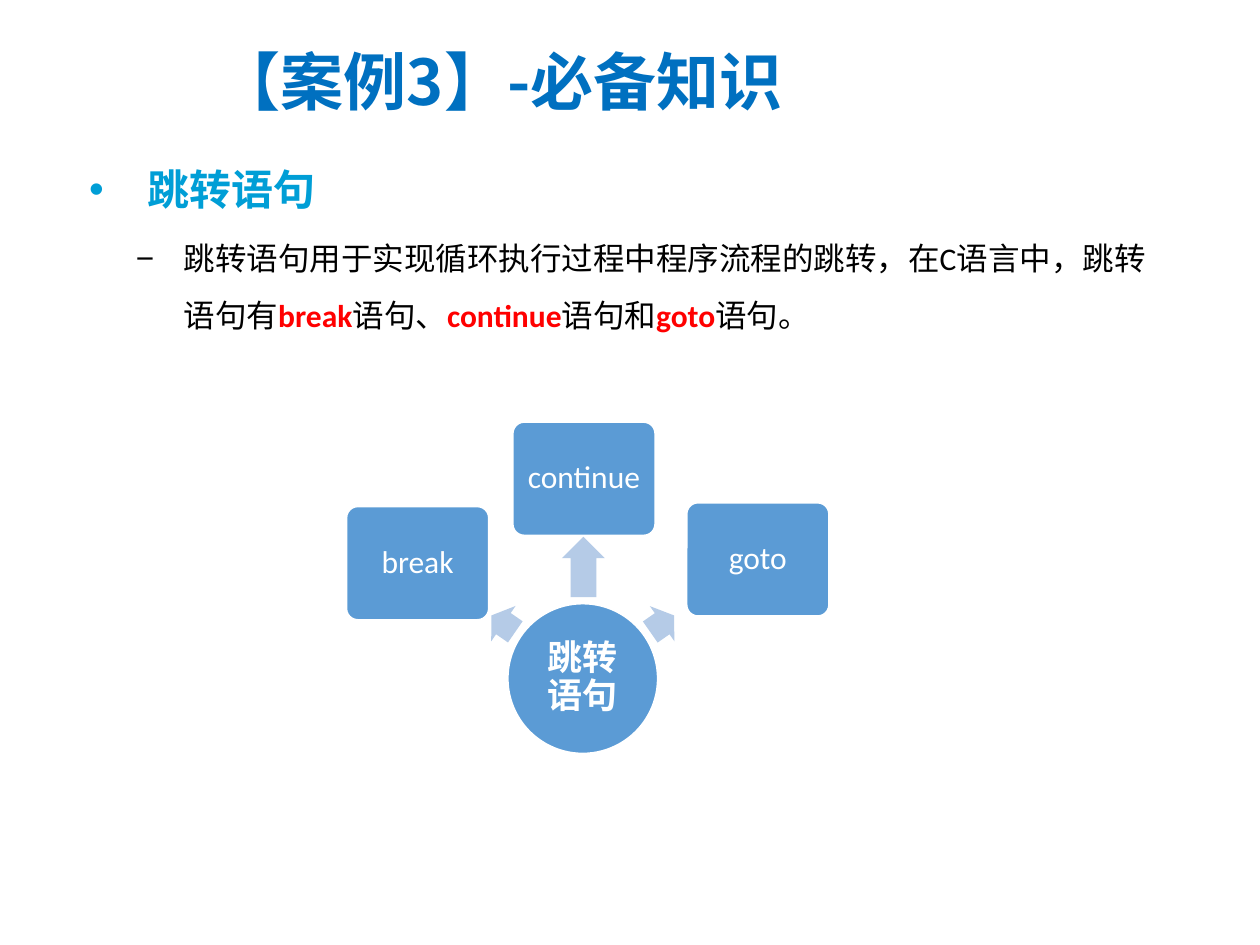
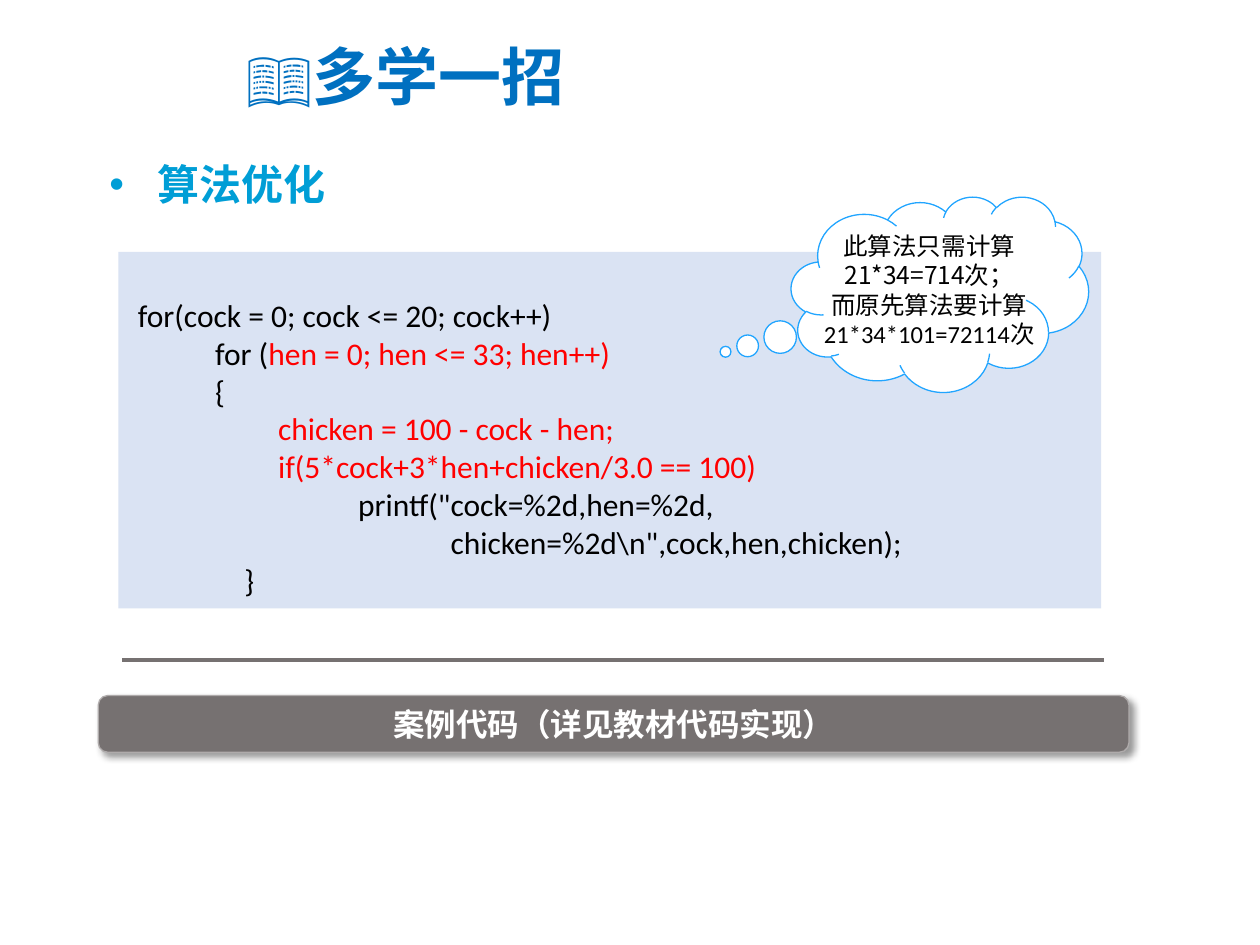
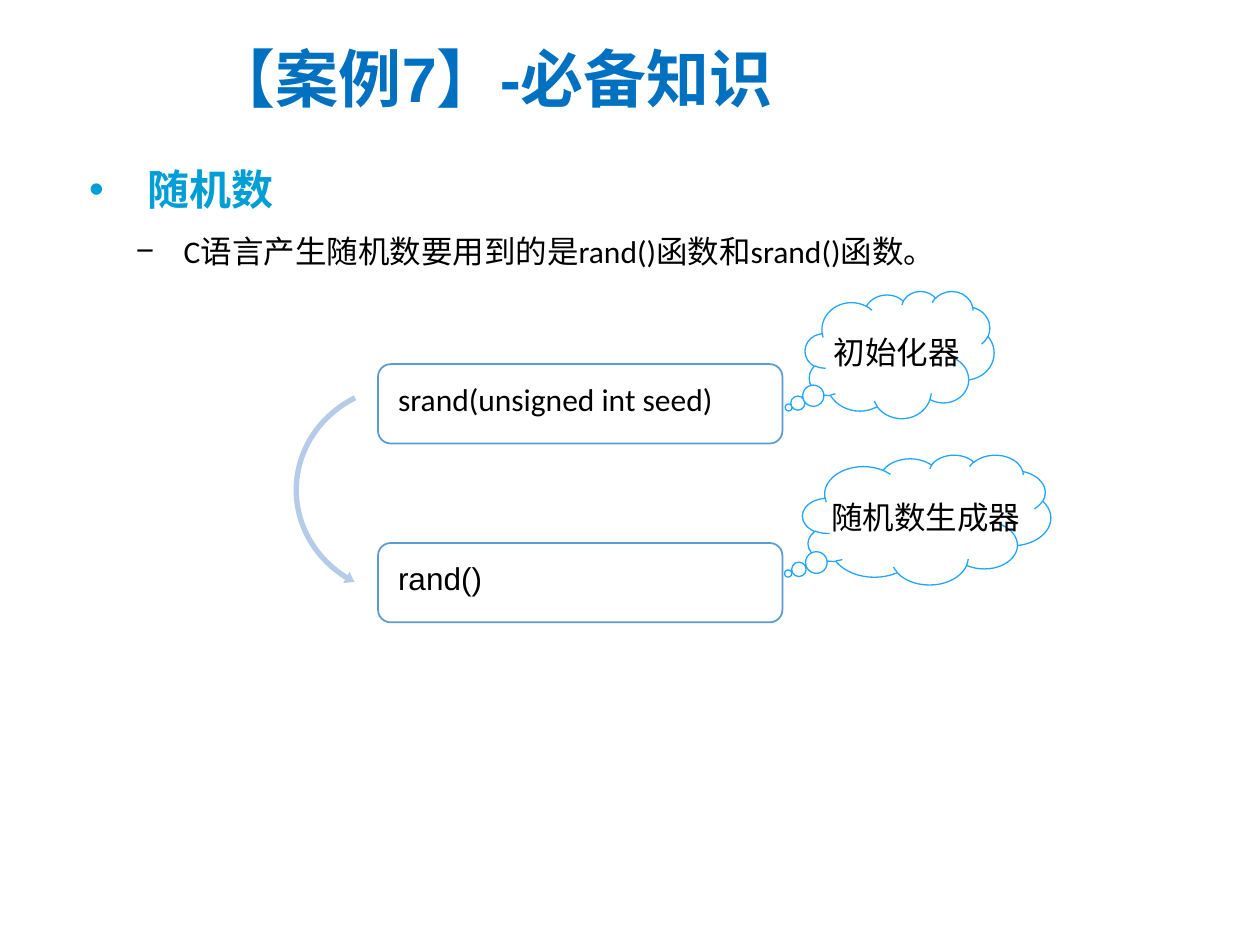
"""Build three lesson slides on jump statements, loop tuning and random numbers."""
import pptx
import pptx.util
import pptx.dml.color
import pptx.enum.shapes
import pptx.enum.text
import pptx.oxml
import pptx.oxml.ns

RGB = pptx.dml.color.RGBColor
SHAPE = pptx.enum.shapes.MSO_SHAPE
ALIGN = pptx.enum.text.PP_ALIGN
ANCHOR = pptx.enum.text.MSO_ANCHOR
Pt = pptx.util.Pt

WHITE = RGB(0xFF, 0xFF, 0xFF)
BLACK = RGB(0x00, 0x00, 0x00)
RED = RGB(0xFF, 0x00, 0x00)
TITLE_BLUE = RGB(0x00, 0x70, 0xC0)
HEADING_BLUE = RGB(0x00, 0x9E, 0xD6)
NODE_BLUE = RGB(0x5B, 0x9B, 0xD5)
ARROW_BLUE = RGB(0xB5, 0xCB, 0xE7)
CLOUD_BLUE = RGB(0x21, 0xA5, 0xFF)
CODE_FILL = RGB(0xDA, 0xE3, 0xF3)
GREY = RGB(0x76, 0x71, 0x71)
LIGHT_GREY = RGB(0xAF, 0xAB, 0xAB)

LATIN = "Calibri"
CJK = "Noto Sans CJK SC"
CJK_KR = "Noto Sans CJK KR"
COLUMNS, ROWS = 100, 75
KEYWORD = {"color": RED, "bold": True}
CHANGED = {"color": RED}


class Deck:
    """Hold the shared style and the current slide on a grid of 100 by 75 cells."""

    def __init__(self):
        """Open an empty deck and size it."""
        self.prs = pptx.Presentation()
        self.prs.slide_width = pptx.util.Inches(10)
        self.prs.slide_height = pptx.util.Inches(7.5)
        self.slide = None

    def x(self, columns):
        """Convert columns to a length."""
        return round(self.prs.slide_width * columns / COLUMNS)

    def y(self, rows):
        """Convert rows to a length."""
        return round(self.prs.slide_height * rows / ROWS)

    def place(self, box):
        """Convert a grid box to left, top, width and height."""
        left, top, width, height = box
        return self.x(left), self.y(top), self.x(width), self.y(height)

    def style(self, r, size, font=LATIN, color=BLACK, bold=False):
        """Format a run, with a matching East Asian font."""
        r.font.size = Pt(size)
        r.font.bold = bold
        r.font.color.rgb = color
        r.font.name = font
        ea = pptx.oxml.parse_xml(f'<a:ea {pptx.oxml.ns.nsdecls("a")}/>')
        ea.set("typeface", font if font.startswith("Noto") else CJK)
        r._r.get_or_add_rPr().find(pptx.oxml.ns.qn("a:latin")).addnext(ea)

    def fill_text(self, sp, lines, size, align=ALIGN.LEFT, anchor=ANCHOR.MIDDLE, wrap=True,
                  insets=(1, 0.5, 1, 0.5), spacing=None, bullet=None, hang=3.8, **look):
        """Fill a shape with lines, each a list of strings or (string, look) pairs."""
        tf = sp.text_frame
        tf.auto_size = pptx.enum.text.MSO_AUTO_SIZE.NONE
        tf.word_wrap = wrap
        tf.vertical_anchor = anchor
        tf.margin_left, tf.margin_top = self.x(insets[0]), self.y(insets[1])
        tf.margin_right, tf.margin_bottom = self.x(insets[2]), self.y(insets[3])
        for i, line in enumerate(lines):
            p = tf.add_paragraph() if i else tf.paragraphs[0]
            if bullet:
                self.bullet(p, bullet, hang)
            p.alignment = align
            if spacing:
                p.line_spacing = spacing
            for part in line:
                text, own = (part, {}) if isinstance(part, str) else part
                r = p.add_run()
                r.text = text
                self.style(r, size, **{**look, **own})

    def bullet(self, p, char, hang):
        """Give a paragraph a bullet and a hanging indent."""
        pPr = p._p.get_or_add_pPr()
        pPr.set("marL", str(self.x(hang)))
        pPr.set("indent", str(-self.x(hang)))
        ns = pptx.oxml.ns.nsdecls("a")
        pPr.append(pptx.oxml.parse_xml(f'<a:buFont {ns} typeface="Arial"/>'))
        pPr.append(pptx.oxml.parse_xml(f'<a:buChar {ns} char="{char}"/>'))

    def new_slide(self, title, box, font=CJK):
        """Start a slide with its title."""
        self.slide = self.prs.slides.add_slide(self.prs.slide_layouts[5])
        sp = self.slide.shapes.title
        sp.left, sp.top, sp.width, sp.height = self.place(box)
        self.fill_text(sp, [[title]], 36, font=font, color=TITLE_BLUE, bold=True)

    def text(self, box, line, size, **look):
        """Add a bulleted text box."""
        sp = self.slide.shapes.add_textbox(*self.place(box))
        self.fill_text(sp, [line], size, anchor=ANCHOR.TOP, spacing=1.5, **look)

    def heading(self, text, left=6.1, top=10.5, hang=4.6):
        """Add the blue first-level point."""
        self.text((left, top, 20, 6.3), [text], 24, bullet="•", hang=hang,
                  wrap=False, color=HEADING_BLUE, bold=True)

    def point(self, line, box):
        """Add a second-level point."""
        self.text(box, line, 18, bullet="−")

    def shape(self, kind, box, fill, line=None, width=1, percents=(), turn=0):
        """Add a flat preset shape, its adjustments given in percent."""
        sp = self.slide.shapes.add_shape(kind, *self.place(box))
        sp.shadow.inherit = False
        sp.rotation = turn
        for i, percent in enumerate(percents):
            sp.adjustments[i] = percent / 100
        sp.fill.solid()
        sp.fill.fore_color.rgb = fill
        if line is None:
            sp.line.fill.background()
        else:
            sp.line.color.rgb = line
            sp.line.width = Pt(width)
        return sp

    def node(self, text, left, top):
        """Add a rounded diagram box."""
        sp = self.shape(SHAPE.ROUNDED_RECTANGLE, (left, top, 11.3, 9), NODE_BLUE, WHITE,
                        percents=[10])
        self.fill_text(sp, [[text]], 18, ALIGN.CENTER, wrap=False, insets=(0, 0, 0, 0),
                       spacing=0.9, color=WHITE)

    def hub(self, text, box):
        """Add the round centre of a diagram."""
        sp = self.shape(SHAPE.OVAL, box, NODE_BLUE, WHITE)
        self.fill_text(sp, [[text]], 20, ALIGN.CENTER, insets=(0.1, 0.1, 0.1, 0.1),
                       spacing=0.9, color=WHITE, bold=True)

    def arrow(self, box, turn):
        """Add a pale block arrow."""
        self.shape(SHAPE.LEFT_ARROW, box, ARROW_BLUE, percents=[60, 50], turn=turn)

    def cloud(self, box, tail, lines, size, font, shift=0):
        """Add a thought cloud."""
        sp = self.shape(SHAPE.CLOUD_CALLOUT, box, WHITE, CLOUD_BLUE, 0.75, tail)
        self.fill_text(sp, lines, size, ALIGN.CENTER, wrap=False,
                       insets=(1 + shift, 0.5, 1, 0.5), font=font)

    def function_box(self, text, top, font=LATIN):
        """Add an outlined box with a function's name."""
        sp = self.shape(SHAPE.ROUNDED_RECTANGLE, (30, top, 32.1, 6.3), WHITE, NODE_BLUE,
                        percents=[16])
        self.fill_text(sp, [[text]], 18, anchor=ANCHOR.TOP, insets=(1.3, 1.3, 1.3, 1.3),
                       spacing=0.9, font=font)

    def code(self, box, lines):
        """Add a code panel."""
        sp = self.shape(SHAPE.RECTANGLE, box, CODE_FILL)
        self.fill_text(sp, lines, 18, anchor=ANCHOR.TOP, insets=(1, 3.5, 1, 0.5))

    def rule(self, left, right, row):
        """Add a horizontal rule."""
        line = self.slide.shapes.add_connector(
            pptx.enum.shapes.MSO_CONNECTOR.STRAIGHT,
            self.x(left), self.y(row), self.x(right), self.y(row))
        line.line.color.rgb = GREY
        line.line.width = Pt(2.25)
        line._element.spPr.append(
            pptx.oxml.parse_xml(f'<a:effectLst {pptx.oxml.ns.nsdecls("a")}/>'))

    def banner(self, text, box):
        """Add a grey banner with a soft shadow."""
        sp = self.shape(SHAPE.ROUNDED_RECTANGLE, box, GREY, LIGHT_GREY, 0.75)
        effects = sp._element.spPr.find(pptx.oxml.ns.qn("a:effectLst"))
        effects.append(pptx.oxml.parse_xml(
            f'<a:outerShdw {pptx.oxml.ns.nsdecls("a")} blurRad="{Pt(4)}" dist="{Pt(3)}" '
            'dir="2700000" algn="tl" rotWithShape="0"><a:srgbClr val="000000">'
            '<a:alpha val="40000"/></a:srgbClr></a:outerShdw>'))
        self.fill_text(sp, [[text]], 18, ALIGN.CENTER, color=WHITE, bold=True)


def jump_slide(deck):
    """Build the slide on jump statements."""
    deck.new_slide("【案例3】-必备知识", (16.3, 2.2, 56.3, 8.4))
    deck.heading("跳转语句")
    deck.point(["跳转语句用于实现循环执行过程中程序流程的跳转，在C语言中，跳转语句有",
                ("break", KEYWORD), "语句、", ("continue", KEYWORD), "语句和",
                ("goto", KEYWORD), "语句。"], (9.8, 17, 84.5, 9.5))
    deck.hub("跳转语句", (40.3, 47.9, 11.9, 11.9))
    for box, turn in [((38.8, 47.8, 2.3, 3.4), 34.6), ((43.9, 43.3, 4.8, 3.4), 90),
                      ((51.4, 47.8, 2.3, 3.4), 145.1)]:
        deck.arrow(box, turn)
    for word, left, top in [("break", 27.5, 40.2), ("continue", 40.7, 33.5),
                            ("goto", 54.5, 39.9)]:
        deck.node(word, left, top)


def tuning_slide(deck):
    """Build the slide on a faster loop."""
    deck.new_slide("📖多学一招", (18.6, 1.8, 33.5, 8.4))
    deck.code((9.4, 20, 78, 28.3), [
        [" for(cock = 0; cock <= 20; cock++)"],
        ["    \t   for (", ("hen = 0; hen <= 33; hen++)", CHANGED)],
        ["    \t   {"],
        [("    \t\t   chicken = 100 - cock - hen;", CHANGED)],
        [("    \t\t   if(5*cock+3*hen+chicken/3.0 == 100)", CHANGED)],
        ["                                printf(\"cock=%2d,hen=%2d,"],
        ["                                             chicken=%2d\\n\",cock,hen,chicken);"],
        ["                }"]])
    deck.banner("案例代码（详见教材代码实现）", (7.8, 55.2, 81.8, 4.5))
    deck.rule(9.7, 87.6, 52.4)
    deck.heading("算法优化", 7.7, 10.1, 3.8)
    deck.cloud((62.8, 15.6, 23.6, 15.5), [-72.1, 29.5],
               [["此算法只需计算"], ["21*34=714次；"], ["而原先算法要计算"],
                [("21*34*101=72114次", {"font": LATIN})]], 14, CJK)


def random_slide(deck):
    """Build the slide on random numbers."""
    deck.new_slide("【案例7】-必备知识", (15.9, 1.9, 56.3, 8.4), "Arial")
    deck.point(["C语言产生随机数要用到的是rand()函数和srand()函数。"], (9.8, 16.4, 73.8, 5.6))
    deck.heading("随机数")
    deck.function_box("srand(unsigned int seed)", 28.9)
    deck.shape(SHAPE.LEFT_CIRCULAR_ARROW, (23.5, 29.6, 17.6, 18.6), ARROW_BLUE,
               percents=[2.4, 296.4, 2083.7, 9036.3, 2.9], turn=90)
    deck.function_box("rand()", 43.1, "Arial")
    deck.cloud((63.9, 23.1, 15, 10.1), [-58.7, 41.5], [["初始化器"]], 18, CJK_KR, 0.6)
    deck.cloud((63.7, 36.1, 19.7, 10.3), [-55.8, 41.5], [["随机数生成器"]], 18, CJK_KR, 1.2)


def main():
    """Build and save the deck."""
    deck = Deck()
    for build in (jump_slide, tuning_slide, random_slide):
        build(deck)
    deck.prs.save("out.pptx")


if __name__ == "__main__":
    main()
